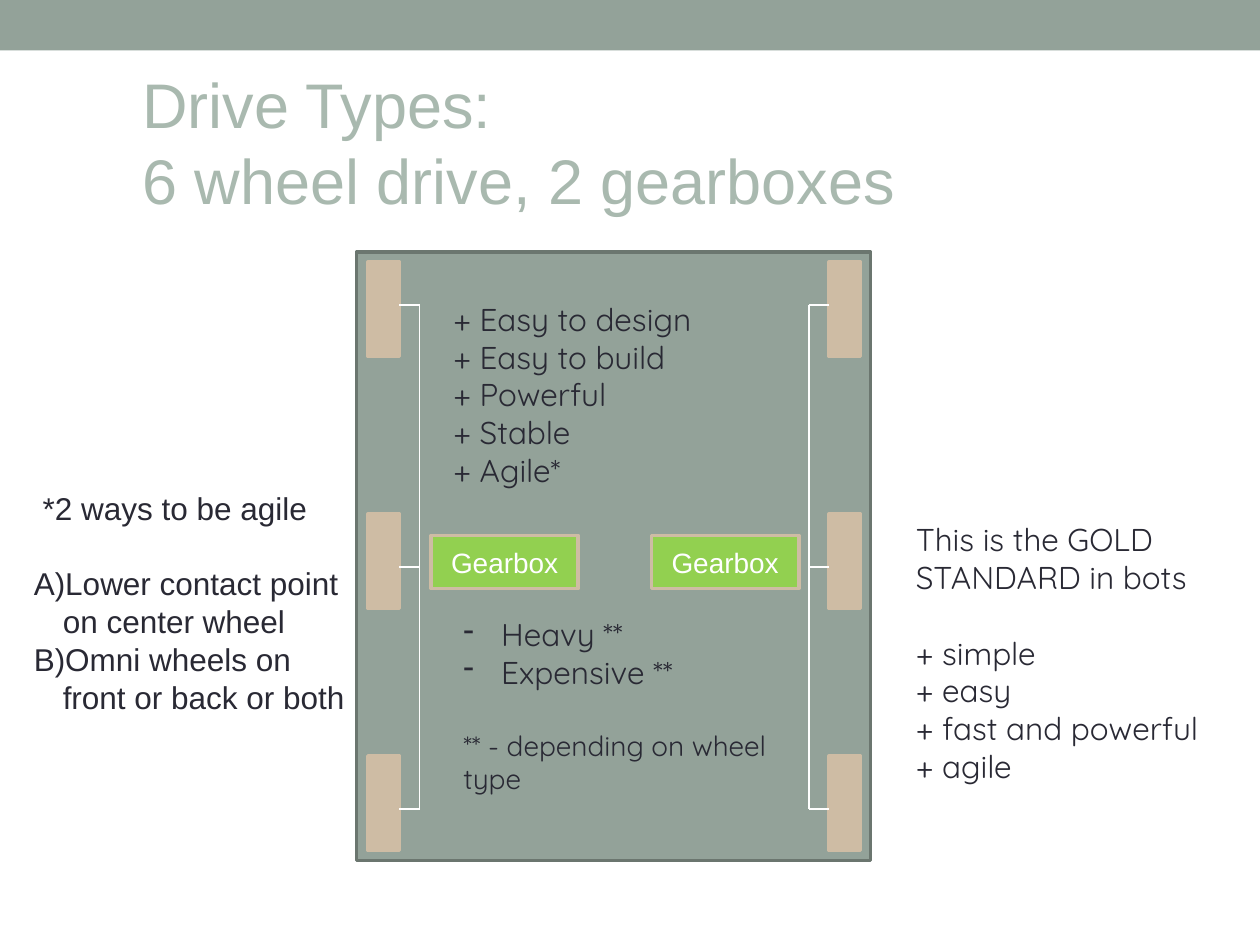
from lxml import etree
from pptx import Presentation
from pptx import util as u
from pptx.dml.color import RGBColor
from pptx.enum import shapes, text
from pptx.oxml.ns import qn

SAGE, SAND, GREEN, WHITE, INK = "93A299", "CEBCA4", "92D050", "FFFFFF", "292934"
LEADING = 1.2


def colour(value):
    return RGBColor.from_string(value)


def add_block(page, left, top, width, height, fill, line=None):
    block = page.shapes.add_shape(
        shapes.MSO_SHAPE.RECTANGLE,
        u.Inches(left), u.Inches(top), u.Inches(width), u.Inches(height))
    block.shadow.inherit = False
    block.fill.solid()
    block.fill.fore_color.rgb = colour(fill)
    if line:
        block.line.color.rgb = colour(line)
        block.line.width = u.Pt(2.07)
    else:
        block.line.fill.background()
    return block


def add_line(page, x1, y1, x2, y2):
    line = page.shapes.add_connector(
        shapes.MSO_CONNECTOR.STRAIGHT,
        u.Inches(x1), u.Inches(y1), u.Inches(x2), u.Inches(y2))
    line.line.color.rgb = colour(WHITE)
    line.line.width = u.Pt(1)
    etree.SubElement(line._element.spPr, qn("a:effectLst"))


def style(para, size, font, ink):
    para.line_spacing = u.Pt(size * LEADING)
    for span in para.runs:
        span.font.size = u.Pt(size)
        span.font.name = font
        span.font.color.rgb = colour(ink)


def set_indent(para, margin, first):
    props = para._p.get_or_add_pPr()
    props.set("marL", str(u.Inches(margin)))
    props.set("indent", str(u.Inches(first)))
    return props


def add_bullet(para, margin, kind, **values):
    props = set_indent(para, margin, -margin)
    etree.SubElement(props, qn(kind), values)


def add_text(page, left, top, width, height, lines, font):
    box = page.shapes.add_textbox(
        u.Inches(left), u.Inches(top), u.Inches(width), u.Inches(height))
    frame = box.text_frame
    frame.word_wrap = True
    frame.text = "\n".join(lines)
    for para in frame.paragraphs:
        style(para, 18, font, INK)
    return frame.paragraphs


def leave_gap(para):
    para.space_before = u.Pt(18 * LEADING)


def add_heading(page, left, top, width, height):
    title = page.shapes.title
    title.left, title.top = u.Inches(left), u.Inches(top)
    title.width, title.height = u.Inches(width), u.Inches(height)
    frame = title.text_frame
    frame.text = "Drive Types:\v6 wheel drive, 2 gearboxes"
    frame.vertical_anchor = text.MSO_ANCHOR.MIDDLE
    frame.auto_size = text.MSO_AUTO_SIZE.NONE
    para = frame.paragraphs[0]
    para.alignment = text.PP_ALIGN.LEFT
    set_indent(para, 0.53, 0)
    style(para, 36, "Arial", "A9B9AF")


def add_gearbox(page, left, top):
    gearbox = add_block(page, left, top, 1.17, 0.42, GREEN, SAND)
    frame = gearbox.text_frame
    frame.text = "Gearbox"
    frame.vertical_anchor = text.MSO_ANCHOR.MIDDLE
    para = frame.paragraphs[0]
    para.alignment = text.PP_ALIGN.CENTER
    style(para, 16, "Arial", WHITE)


def add_drive(page, left, top, width, height):
    add_block(page, left, top, width, height, SAGE, "6B766F")
    wheel_tops = [top + 0.08, top + 2.08, top + 4]
    axles = [top + 0.42, top + 2.5, top + 4.42]
    right = left + width
    for wheel_left in (left + 0.09, right - 0.33):
        for wheel_top in wheel_tops:
            add_block(page, wheel_left, wheel_top, 0.25, 0.75, SAND, SAND)
    for gearbox_left in (left + 0.59, right - 1.74):
        add_gearbox(page, gearbox_left, top + 2.25)
    for wheel_side, chain in ((left + 0.34, left + 0.5),
                              (right - 0.33, right - 0.49)):
        for axle in axles:
            add_line(page, wheel_side, axle, chain, axle)
        add_line(page, chain, axles[0], chain, axles[-1])

    add_text(page, left + 0.67, top + 0.33, 2.67, 1.6,
             ["+ Easy to design", "+ Easy to build", "+ Powerful",
              "+ Stable", "+ Agile*"], "Quicksand")
    *drawbacks, footnote = add_text(
        page, left + 0.75, top + 2.83, 2.67, 1.58,
        ["Heavy **", "Expensive **", "** - depending on wheel type"], "Quicksand")
    for para in drawbacks:
        add_bullet(para, 0.3, "a:buChar", char="-")
    style(footnote, 16, "Quicksand", INK)
    leave_gap(footnote)


def add_agility_note(page, left, top, width, height):
    heading, *ways = add_text(
        page, left, top, width, height,
        ["*2 ways to be agile", "Lower contact point on center wheel",
         "Omni wheels on front or back or both"], "Arial")
    set_indent(heading, 0.07, 0)
    for para in ways:
        add_bullet(para, 0.23, "a:buAutoNum", type="alphaUcParenR")
    leave_gap(ways[0])


def add_verdict(page, left, top, width, height):
    paras = add_text(
        page, left, top, width, height,
        ["This is the GOLD STANDARD in bots", "+ simple", "+ easy",
         "+ fast and powerful", "+ agile"], "Quicksand")
    leave_gap(paras[1])


def main():
    deck = Presentation()
    deck.slide_width, deck.slide_height = u.Inches(10), u.Inches(7.5)
    page = deck.slides.add_slide(deck.slide_layouts.get_by_name("Title Only"))
    add_block(page, 0, 0, 10, 0.4, SAGE)
    add_heading(page, 0.5, 0.58, 9, 1.08)
    add_drive(page, 2.83, 2, 4.08, 4.83)
    add_agility_note(page, 0.17, 3.83, 2.67, 1.9)
    add_verdict(page, 7.17, 4.08, 2.67, 2.2)
    deck.save("out.pptx")


if __name__ == "__main__":
    main()
